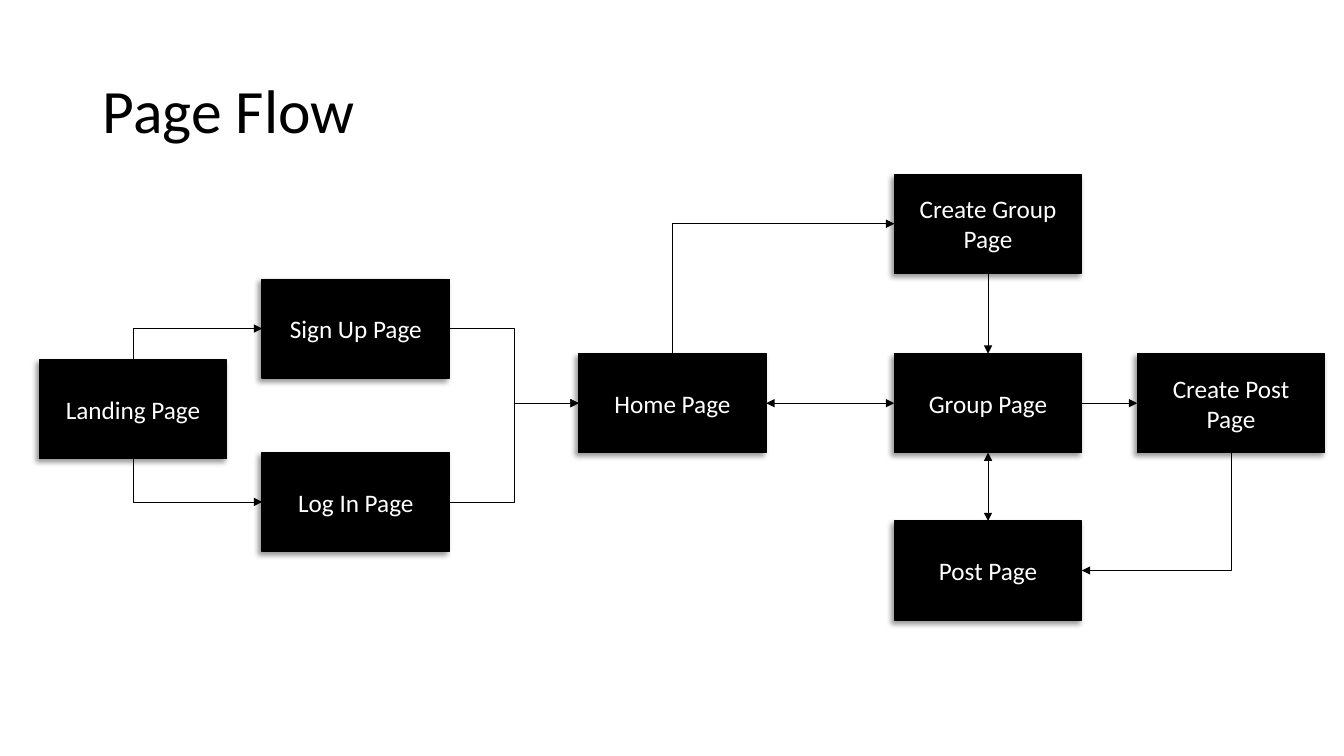
"""Build the Page Flow slide: a diagram of pages joined by arrows."""
from typing import NamedTuple

from lxml import etree
from pptx import Presentation
from pptx import util as u
from pptx.dml.color import RGBColor
from pptx.enum import shapes, text
from pptx.oxml import ns

BLACK = RGBColor(0x00, 0x00, 0x00)
WHITE = RGBColor(0xFF, 0xFF, 0xFF)
FONT = "Calibri"
PAGE_WIDTH, PAGE_HEIGHT = u.Inches(1.86), u.Inches(0.98)
TOP, LEFT, BOTTOM, RIGHT = range(4)
STRAIGHT, STEP, CORNER = "straight", "step", "corner"


class Page(NamedTuple):
    label: str
    left: float
    top: float


class Flow(NamedTuple):
    source: str
    source_side: int
    target: str
    target_side: int
    route: str = STRAIGHT
    two_way: bool = False


PAGES = [
    Page("Landing Page", 0.39, 3.57),
    Page("Sign Up Page", 2.6, 2.77),
    Page("Log In Page", 2.6, 4.49),
    Page("Home Page", 5.74, 3.51),
    Page("Create Group Page", 8.87, 1.73),
    Page("Group Page", 8.87, 3.51),
    Page("Post Page", 8.87, 5.17),
    Page("Create Post Page", 11.28, 3.51),
]

FLOWS = [
    Flow("Landing Page", TOP, "Sign Up Page", LEFT, CORNER),
    Flow("Landing Page", BOTTOM, "Log In Page", LEFT, CORNER),
    Flow("Sign Up Page", RIGHT, "Home Page", LEFT, STEP),
    Flow("Log In Page", RIGHT, "Home Page", LEFT, STEP),
    Flow("Home Page", TOP, "Create Group Page", LEFT, CORNER),
    Flow("Home Page", RIGHT, "Group Page", LEFT, two_way=True),
    Flow("Create Group Page", BOTTOM, "Group Page", TOP),
    Flow("Group Page", BOTTOM, "Post Page", TOP, two_way=True),
    Flow("Group Page", RIGHT, "Create Post Page", LEFT),
    Flow("Create Post Page", BOTTOM, "Post Page", RIGHT, CORNER),
]


def add_node(parent, tag: str, **attributes: str):
    """Append a drawing element to a parent element."""
    return etree.SubElement(parent, ns.qn(tag), attributes)


def write(frame, words: str, *, size: float, color: RGBColor, align, spacing: float = 1.0) -> None:
    """Put formatted, vertically centred text in a frame."""
    frame.word_wrap = True
    frame.vertical_anchor = text.MSO_ANCHOR.MIDDLE
    paragraph = frame.paragraphs[0]
    paragraph.alignment = align
    paragraph.line_spacing = spacing
    run = paragraph.add_run()
    run.text = words
    run.font.name = FONT
    run.font.size = u.Pt(size)
    run.font.color.rgb = color


def draw_page(slide, page: Page):
    """Draw one page as a black box with a soft shadow."""
    box = slide.shapes.add_shape(
        shapes.MSO_SHAPE.RECTANGLE, u.Inches(page.left), u.Inches(page.top), PAGE_WIDTH, PAGE_HEIGHT
    )
    box.fill.solid()
    box.fill.fore_color.rgb = BLACK
    box.line.color.rgb = BLACK
    box.line.width = u.Pt(1)
    box.shadow.inherit = False
    effects = box.element.spPr.find(ns.qn("a:effectLst"))
    shadow = add_node(
        effects, "a:outerShdw", blurRad=str(u.Pt(4)), dist=str(u.Pt(3)),
        dir=str(135 * 60000), algn="tr", rotWithShape="0",
    )
    add_node(add_node(shadow, "a:srgbClr", val=str(BLACK)), "a:alpha", val="40000")
    write(box.text_frame, page.label, size=18, color=WHITE, align=text.PP_ALIGN.CENTER)
    return box


def turn_corner(arrow) -> None:
    """Make an elbow run vertically first, with a single bend."""
    center_x, center_y = (arrow.begin_x + arrow.end_x) // 2, (arrow.begin_y + arrow.end_y) // 2
    half_x, half_y = (arrow.end_x - arrow.begin_x) // 2, (arrow.end_y - arrow.begin_y) // 2
    arrow.begin_x, arrow.end_x = center_x - half_y, center_x + half_y
    arrow.begin_y, arrow.end_y = center_y + half_x, center_y - half_x
    properties = arrow.element.spPr
    properties.find(ns.qn("a:xfrm")).set("rot", str(90 * 60000))
    properties.find(ns.qn("a:prstGeom")).set("prst", "bentConnector2")


def draw_flow(slide, flow: Flow, boxes: dict) -> None:
    """Join two pages with an arrow."""
    connectors = shapes.MSO_CONNECTOR
    kind = connectors.STRAIGHT if flow.route == STRAIGHT else connectors.ELBOW
    arrow = slide.shapes.add_connector(kind, 0, 0, 0, 0)
    arrow.begin_connect(boxes[flow.source], flow.source_side)
    arrow.end_connect(boxes[flow.target], flow.target_side)
    if flow.route == CORNER:
        turn_corner(arrow)
    arrow.line.color.rgb = BLACK
    arrow.line.width = u.Pt(0.5)
    properties = arrow.element.spPr
    outline = properties.find(ns.qn("a:ln"))
    if flow.two_way:
        add_node(outline, "a:headEnd", type="triangle")
    add_node(outline, "a:tailEnd", type="triangle")
    add_node(properties, "a:effectLst")


def main() -> None:
    """Build and save the slide."""
    deck = Presentation()
    deck.slide_width, deck.slide_height = u.Inches(13.33), u.Inches(7.5)
    slide = deck.slides.add_slide(deck.slide_layouts[5])

    title = slide.shapes.title
    title.left, title.top = u.Inches(0.92), u.Inches(0.4)
    title.width, title.height = u.Inches(11.5), u.Inches(1.45)
    write(title.text_frame, "Page Flow", size=44, color=BLACK, align=text.PP_ALIGN.LEFT, spacing=0.9)

    boxes = {page.label: draw_page(slide, page) for page in PAGES}
    for flow in FLOWS:
        draw_flow(slide, flow, boxes)
    deck.save("out.pptx")


if __name__ == "__main__":
    main()
